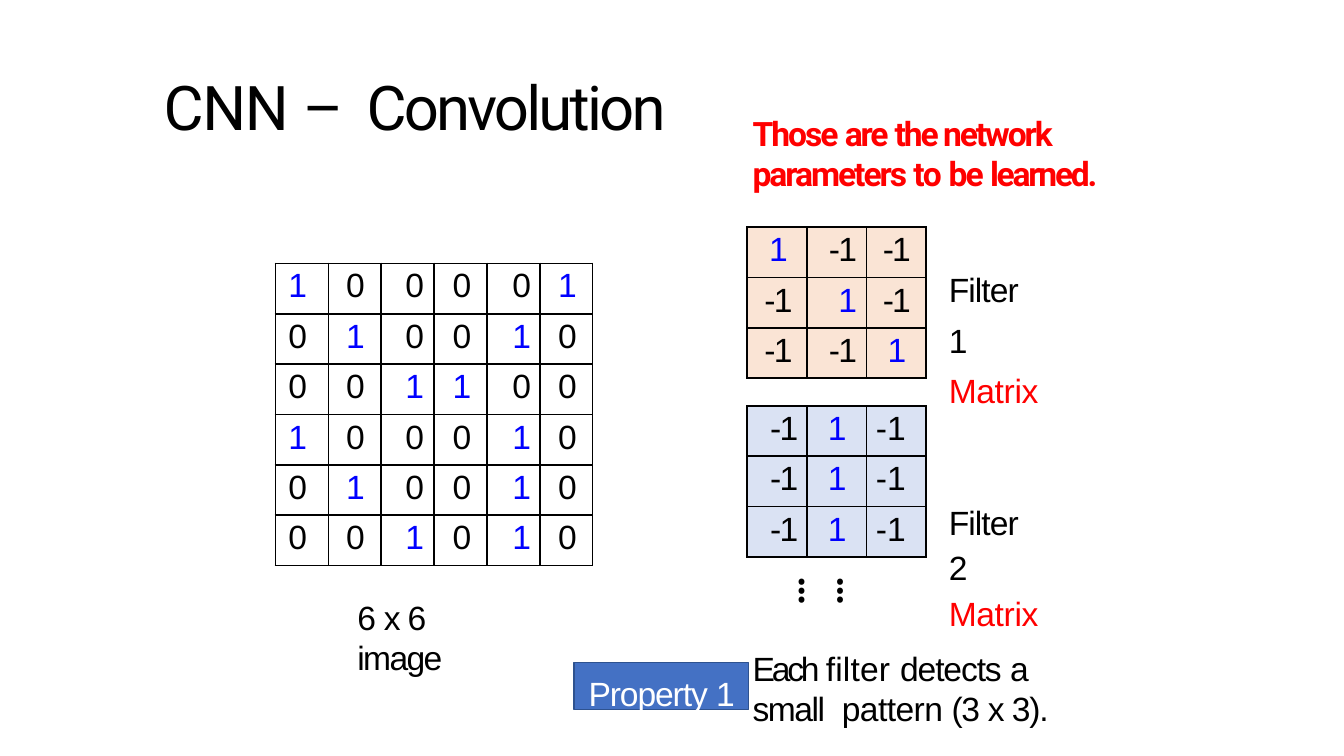
"""Build the CNN convolution slide with its input image and two filter matrices."""
from lxml.etree import SubElement
from pptx import Presentation
from pptx.dml.color import RGBColor
from pptx.enum.shapes import MSO_SHAPE
from pptx.enum.text import MSO_ANCHOR, PP_ALIGN
from pptx.oxml.ns import qn
from pptx.util import Inches, Pt

COLORS = {
    "black": "000000", "white": "FFFFFF", "red": "FF0000", "blue": "0000FF",
    "peach": "FAE4D5", "lavender": "DAE2F3", "box": "4471C4", "box_line": "2E528F",
}
LEFT, CENTER, RIGHT = PP_ALIGN.LEFT, PP_ALIGN.CENTER, PP_ALIGN.RIGHT


def rgb(name):
    return RGBColor.from_string(COLORS[name])


def write(tf, lines, color="black", font="Arial", size=18, bold=False,
          align=LEFT, left=0.01, top=0.01):
    tf.word_wrap = True
    tf.margin_left, tf.margin_top = Inches(left), Inches(top)
    tf.margin_right = tf.margin_bottom = 0
    p = tf.paragraphs[0]
    p.alignment = align
    for i, line in enumerate(lines):
        if i:
            p.add_line_break()
        for text, spacing, *own_color in line:
            r = p.add_run()
            r.text = text
            r.font.name, r.font.size, r.font.bold = font, Pt(size), bold
            r.font.color.rgb = rgb(own_color[0] if own_color else color)
            r.font._element.set("spc", str(round(spacing * 100)))
    return p


prs = Presentation()
prs.slide_width = Inches(10)
prs.slide_height = Inches(10 * 9 / 16)
s = prs.slides.add_slide(prs.slide_layouts[6])

title = s.shapes.add_textbox(Inches(0.83), Inches(0.5), Inches(4.5), Inches(0.57))
title.text_frame.vertical_anchor = MSO_ANCHOR.MIDDLE
write(title.text_frame, [[("CNN ", -0.7), ("–", 4.3), (" ", 0), ("Convolution", -1.5)]],
      font="Roboto", size=33, align=CENTER)

image_rows = ["1 0 0 0 0 1", "0 1 0 0 1 0", "0 0 1 1 0 0",
              "1 0 0 0 1 0", "0 1 0 0 1 0", "0 0 1 0 1 0"]
image_cols = [(RIGHT, 0, 0.16, 0), (CENTER, 0.01, 0, 0), (LEFT, 0.18, 0, 0),
              (CENTER, 0.02, 0, 0), (LEFT, 0.19, 0, 0), (CENTER, 0.02, 0, 0)]
filter1_rows = ["1 -1 -1", "-1 1 -1", "-1 -1 1"]
filter1_cols = [(CENTER, 0.02, 0, -0.9), (RIGHT, 0, 0.07, -0.9), (CENTER, 0.01, 0, -0.9)]
filter2_rows = ["-1 1 -1"] * 3
filter2_cols = [(LEFT, 0.17, 0, -0.9), (CENTER, 0.01, 0, 0), (RIGHT, 0, 0.15, 0)]

for x, y, width, rows, cols, fill in [
    (2.05, 1.96, 2.36, image_rows, image_cols, None),
    (5.56, 1.69, 1.33, filter1_rows, filter1_cols, "peach"),
    (5.56, 3.02, 1.33, filter2_rows, filter2_cols, "lavender"),
]:
    n = len(rows)
    table = s.shapes.add_table(n, n, Inches(x), Inches(y),
                               Inches(width), Inches(0.375 * n)).table
    table.first_row = table.horz_banding = False
    for i, row in enumerate(rows):
        for j, value in enumerate(row.split()):
            cell = table.cell(i, j)
            align, left, right, spacing = cols[j]
            write(cell.text_frame, [[(value, spacing if value == "-1" else 0)]],
                  color="blue" if value == "1" else "black", align=align)
            cell.margin_left, cell.margin_right = Inches(left), Inches(right)
            cell.margin_top, cell.margin_bottom = Inches(0.03), 0
            tc_pr = cell._tc.get_or_add_tcPr()
            for side in ("a:lnL", "a:lnR", "a:lnT", "a:lnB"):
                ln = SubElement(tc_pr, qn(side), w=str(Pt(1)))
                SubElement(SubElement(ln, qn("a:solidFill")), qn("a:srgbClr"),
                           val=COLORS["black"])
            if fill:
                cell.fill.solid()
                cell.fill.fore_color.rgb = rgb(fill)
            else:
                cell.fill.background()

dots = s.shapes.add_textbox(Inches(5.87), Inches(4.29), Inches(0.59), Inches(0.36))
p = write(dots.text_frame, [[("……", 0)]], font="Roboto", size=21, bold=True, top=0)
p.line_spacing = Pt(20.7)
dots.text_frame._txBody.bodyPr.set("vert", "vert")

caption = [[("6 ", -0.9), ("x ", -1.2), ("6", -0.9)], [("image", -0.9)]]
pattern = [
    [("Each ", -1.7), ("filter ", 0.1), ("detects ", -0.6), ("a", -1.4)],
    [("small", -0.8), (" ", 4), ("pattern ", -0.3), ("(3 ", -0.8),
     ("x ", -1.2), ("3).", -0.6)],
]
for x, y, w, h, lines in [(2.65, 4.43, 1.17, 0.62, caption),
                          (5.59, 4.81, 2.6, 0.62, pattern)]:
    tb = s.shapes.add_textbox(Inches(x), Inches(y), Inches(w), Inches(h))
    write(tb.text_frame, lines)

note = s.shapes.add_textbox(Inches(5.59), Inches(0.84), Inches(2.72), Inches(0.62))
write(note.text_frame, [
    [("Those ", -1.1), ("are ", -1.2), ("the network", -1.1)],
    [("parameters ", -1.1), ("to ", -0.8), ("be ", -1.1), ("learned.", -1.2)],
], color="red", font="Roboto", bold=True, top=0)

for number, y, spacing in [("1", 1.92, 1.25), ("2", 3.68, 1.14)]:
    tb = s.shapes.add_textbox(Inches(7.05), Inches(y), Inches(0.72), Inches(1.1))
    p = write(tb.text_frame,
              [[("Filter", -0.5)], [(number, -0.9)], [("Matrix", -0.2, "red")]])
    p.line_spacing = spacing

sp = s.shapes.add_shape(MSO_SHAPE.RECTANGLE, Inches(4.27), Inches(4.93),
                        Inches(1.3), Inches(0.35))
sp.shadow.inherit = False
sp.fill.solid()
sp.fill.fore_color.rgb = rgb("box")
sp.line.color.rgb = rgb("box_line")
sp.line.width = Pt(0.96)
sp.text_frame.vertical_anchor = MSO_ANCHOR.TOP
write(sp.text_frame, [[("Property ", -0.6), ("1", -0.9)]],
      color="white", left=0.11, top=0.08)

prs.save("out.pptx")
